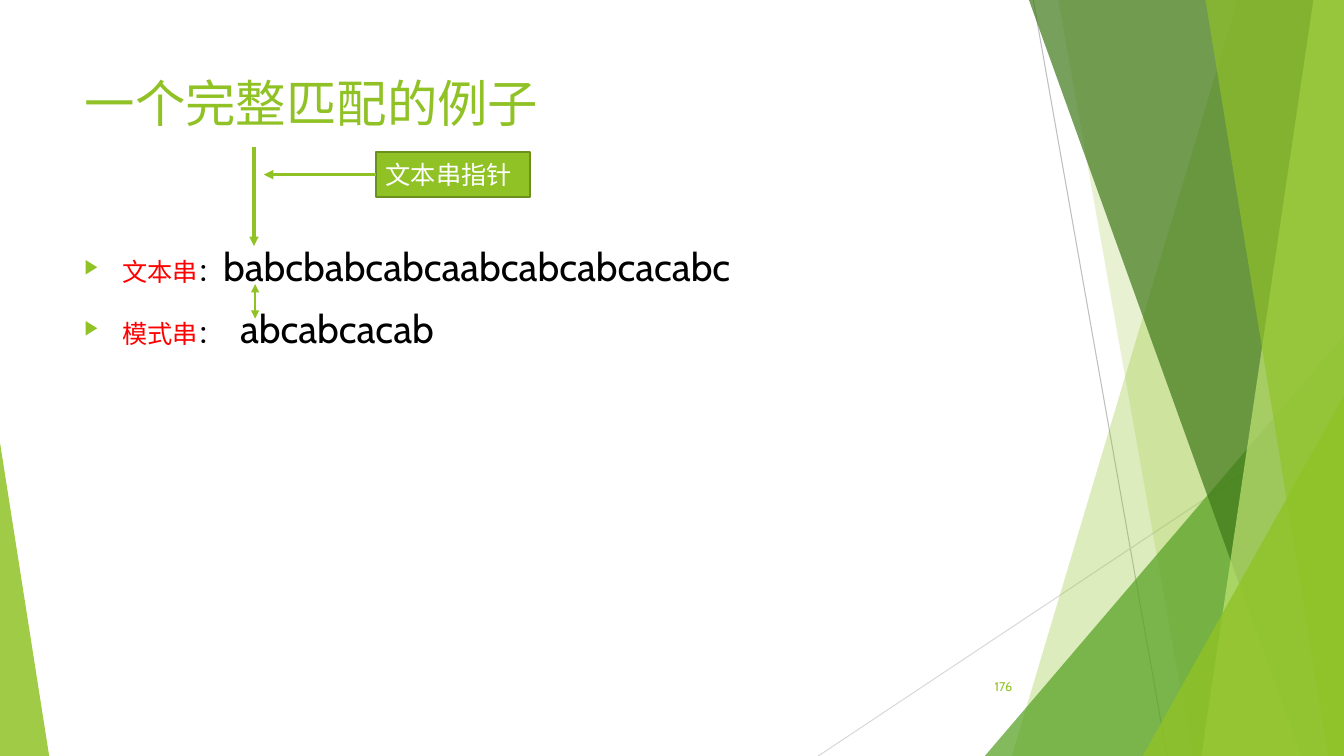
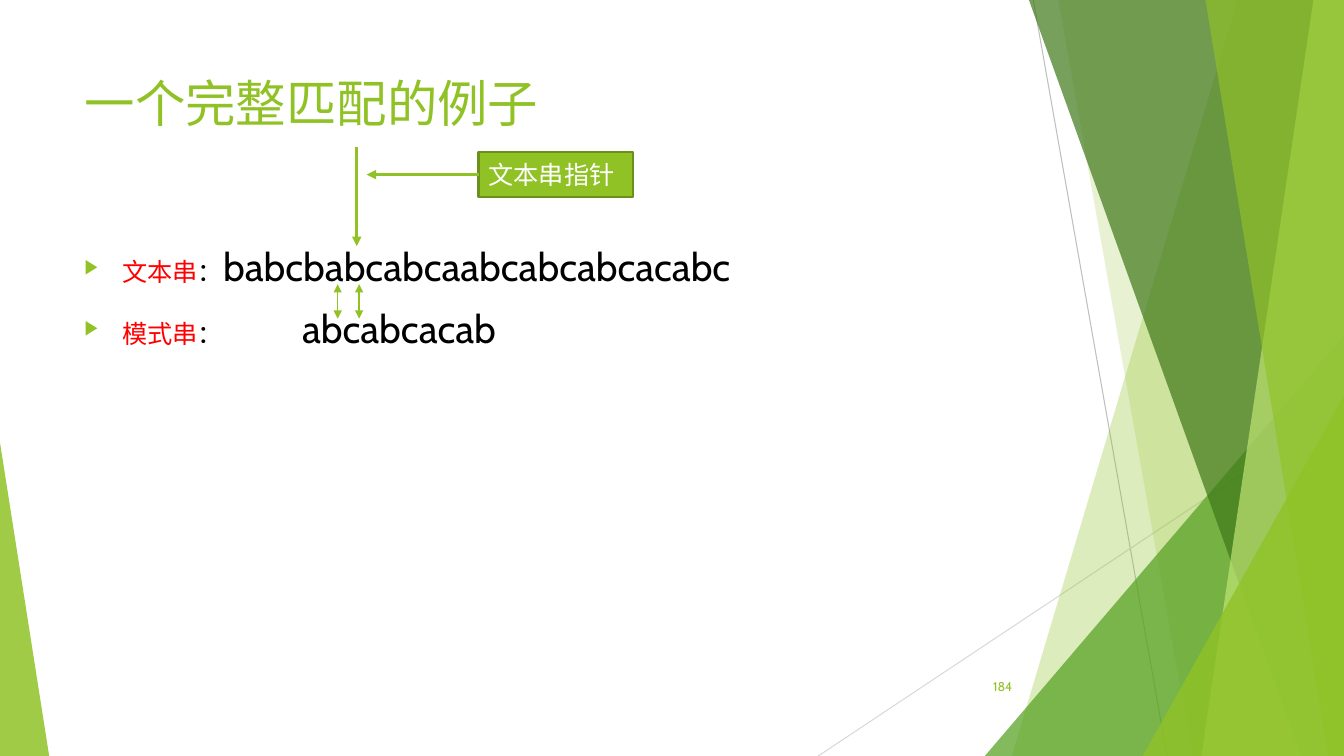
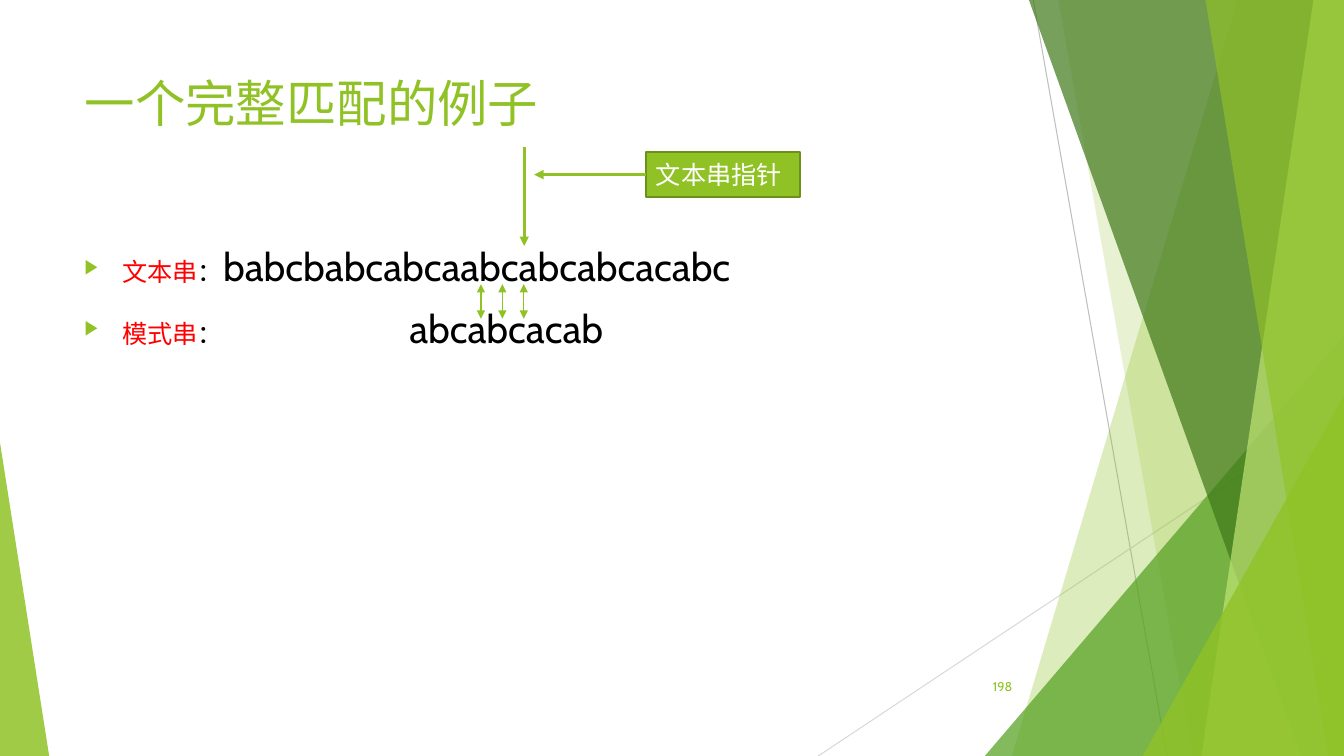
from dataclasses import dataclass

from lxml.etree import SubElement
from pptx import Presentation
from pptx.dml.color import RGBColor
from pptx.enum.shapes import MSO_CONNECTOR, MSO_SHAPE
from pptx.enum.text import MSO_ANCHOR, MSO_AUTO_SIZE, PP_ALIGN
from pptx.oxml.ns import qn
from pptx.util import Cm, Pt

TITLE = "一个完整匹配的例子"
POINTER_LABEL = "文本串指针"
TEXT_LABEL, TEXT = "文本串", "babcbabcabcaabcabcabcacabc"
PATTERN_LABEL, PATTERN = "模式串", "abcabcacab"

STEPS = [
    {"number": "176", "pattern_gap": 4.03, "pointer": 6.4, "first_match": 6.43, "matches": 1},
    {"number": "184", "pattern_gap": 26.2, "pointer": 8.99, "first_match": 8.51, "matches": 2},
    {"number": "198", "pattern_gap": 64.5, "pointer": 13.21, "first_match": 12.12, "matches": 3},
]


@dataclass(frozen=True)
class Theme:
    font: str = "Cabin"
    accent: str = "90C226"
    outline: str = "6B901C"
    leaf: str = "54A021"
    forest: str = "3F7819"
    lime: str = "C0E474"
    rule_dark: str = "BFBFBF"
    rule_light: str = "D9D9D9"
    label: str = "FF0000"
    ink: str = "000000"
    white: str = "FFFFFF"
    title_size: float = 36
    string_size: float = 28
    label_size: float = 18
    number_size: float = 9


THEME = Theme()
WIDTH, HEIGHT = 33.87, 19.05
TITLE_AREA = (1.88, 1.7, 23.88, 3.66)
BODY_AREA = (1.88, 5.99, 23.88, 10.77)
NUMBER_AREA = (23.85, 16.79, 1.91, 1.02)
BULLET_INDENT = 0.95
MATCH_PITCH, MATCH_TOP, MATCH_BOTTOM = 0.54, 7.16, 8.03
POINTER_TOP, POINTER_BOTTOM = 3.71, 6.2
LABEL_OFFSET, LABEL_TOP, LABEL_WIDTH, LABEL_HEIGHT = 3.07, 3.84, 3.89, 1.12
POINTER_GAP = 0.25

RULES = [
    ((26.04, 0), (29.41, HEIGHT), THEME.rule_dark),
    ((WIDTH, 10.24), (20.62, HEIGHT), THEME.rule_light),
]
FACETS = [
    ("band", (31.19, 25.5), THEME.accent, 30),
    ("band", (26.67, 30.05), THEME.accent, 20),
    ("triangle", (24.82, 8.46, 9.05, 10.59, 1), THEME.leaf, 72),
    ("band", (25.93, 32.79), THEME.forest, 70),
    ("band", (33.1, 30.28), THEME.lime, 70),
    ("band", (30.38, 33.48), THEME.accent, 65),
    ("triangle", (28.8, 9.98, 5.07, 9.07, 1), THEME.accent, 80),
    ("triangle", (0, 11.15, 1.24, 7.9, 0), THEME.accent, 85),
]


def rgb(code):
    return RGBColor.from_string(code)


def write(paragraph, text, size, color, align=None, spacing=None):
    run = paragraph.add_run()
    run.text = text
    run.font.name = THEME.font
    run.font.size = Pt(size)
    run.font.color.rgb = rgb(color)
    if align is not None:
        paragraph.alignment = align
    if spacing is not None:
        run.font._element.set("spc", str(round(spacing * 100)))


def place(holder, area):
    holder.left, holder.top, holder.width, holder.height = map(Cm, area)


def draw_line(slide, start, end, color, weight, arrows=()):
    line = slide.shapes.add_connector(
        MSO_CONNECTOR.STRAIGHT, *map(Cm, (*start, *end)))
    line.line.color.rgb = rgb(color)
    line.line.width = Pt(weight)
    for arrow in arrows:
        SubElement(line.line._get_or_add_ln(), qn(f"a:{arrow}"), type="triangle")
    SubElement(line._element.spPr, qn("a:effectLst"))
    return line


def draw_facet(slide, kind, geometry, color, opacity):
    if kind == "band":
        top_x, bottom_x = geometry
        outline = slide.shapes.build_freeform(Cm(top_x), 0)
        outline.add_line_segments(
            [(Cm(x), Cm(y)) for x, y in
             ((WIDTH, 0), (WIDTH, HEIGHT), (bottom_x, HEIGHT))])
        facet = outline.convert_to_shape()
    else:
        *area, apex = geometry
        facet = slide.shapes.add_shape(MSO_SHAPE.ISOSCELES_TRIANGLE, *map(Cm, area))
        facet.adjustments[0] = apex
    facet.shadow.inherit = False
    facet.line.fill.background()
    facet.fill.solid()
    facet.fill.fore_color.rgb = rgb(color)
    tint = facet._element.spPr.find(f"{qn('a:solidFill')}/{qn('a:srgbClr')}")
    SubElement(tint, qn("a:alpha"), val=str(opacity * 1000))
    return facet


def decorate_master(master, slide):
    parts = [draw_line(slide, *rule, 0.75) for rule in RULES]
    parts += [draw_facet(slide, *facet) for facet in FACETS]
    tree = master.shapes._spTree
    for order, part in enumerate(parts):
        part._element._nvXxPr.cNvPr.set("id", str(100 + order))
        tree.insert(2 + order, part._element)


def add_bullet(paragraph):
    properties = paragraph._p.get_or_add_pPr()
    properties.set("marL", str(Cm(BULLET_INDENT)))
    properties.set("indent", str(-Cm(BULLET_INDENT)))
    bullet_color = SubElement(properties, qn("a:buClr"))
    SubElement(bullet_color, qn("a:srgbClr"), val=THEME.accent)
    SubElement(properties, qn("a:buSzPct"), val="80000")
    SubElement(properties, qn("a:buChar"), char="▶")


def fill_strings(body, pattern_gap):
    frame = body.text_frame
    frame.auto_size = MSO_AUTO_SIZE.NONE
    rows = [
        (frame.paragraphs[0], TEXT_LABEL, "：", TEXT, None, 0),
        (frame.add_paragraph(), PATTERN_LABEL, "： ", PATTERN, pattern_gap, 10),
    ]
    for paragraph, label, colon, string, gap, before in rows:
        add_bullet(paragraph)
        paragraph.space_before = Pt(before)
        write(paragraph, label, THEME.label_size, THEME.label)
        write(paragraph, colon, THEME.label_size, THEME.ink, spacing=gap)
        write(paragraph, string, THEME.string_size, THEME.ink)


def add_number(slide, number):
    frame = slide.shapes.add_textbox(*map(Cm, NUMBER_AREA)).text_frame
    frame.word_wrap = True
    frame.vertical_anchor = MSO_ANCHOR.MIDDLE
    write(frame.paragraphs[0], number, THEME.number_size, THEME.accent,
          align=PP_ALIGN.RIGHT)


def add_pointer(slide, x):
    label_left = x + LABEL_OFFSET
    label = slide.shapes.add_shape(
        MSO_SHAPE.RECTANGLE,
        *map(Cm, (label_left, LABEL_TOP, LABEL_WIDTH, LABEL_HEIGHT)))
    label.shadow.inherit = False
    label.fill.solid()
    label.fill.fore_color.rgb = rgb(THEME.accent)
    label.line.color.rgb = rgb(THEME.outline)
    label.line.width = Pt(1.5)
    label.text_frame.vertical_anchor = MSO_ANCHOR.MIDDLE
    write(label.text_frame.paragraphs[0], POINTER_LABEL, THEME.label_size,
          THEME.white, align=PP_ALIGN.LEFT)
    middle = LABEL_TOP + LABEL_HEIGHT / 2
    for start, end in (
        ((label_left, middle), (x + POINTER_GAP, middle)),
        ((x, POINTER_TOP), (x, POINTER_BOTTOM)),
    ):
        draw_line(slide, start, end, THEME.accent, 2.25, ["tailEnd"])


def add_step(slide, step):
    title, body = slide.placeholders
    title.text_frame.auto_size = MSO_AUTO_SIZE.NONE
    title.text_frame.vertical_anchor = MSO_ANCHOR.TOP
    write(title.text_frame.paragraphs[0], TITLE, THEME.title_size, THEME.accent,
          align=PP_ALIGN.LEFT)
    fill_strings(body, step["pattern_gap"])
    add_number(slide, step["number"])
    for index in range(step["matches"]):
        x = step["first_match"] + index * MATCH_PITCH
        draw_line(slide, (x, MATCH_TOP), (x, MATCH_BOTTOM), THEME.accent, 1,
                  ["headEnd", "tailEnd"])
    add_pointer(slide, step["pointer"])


def main():
    deck = Presentation()
    deck.slide_width, deck.slide_height = Cm(WIDTH), Cm(HEIGHT)
    layout = deck.slide_layouts[1]
    for holder, area in zip(layout.placeholders, (TITLE_AREA, BODY_AREA)):
        place(holder, area)
    slides = [deck.slides.add_slide(layout) for _ in STEPS]
    decorate_master(deck.slide_master, slides[0])
    for slide, step in zip(slides, STEPS):
        add_step(slide, step)
    deck.save("out.pptx")


if __name__ == "__main__":
    main()
